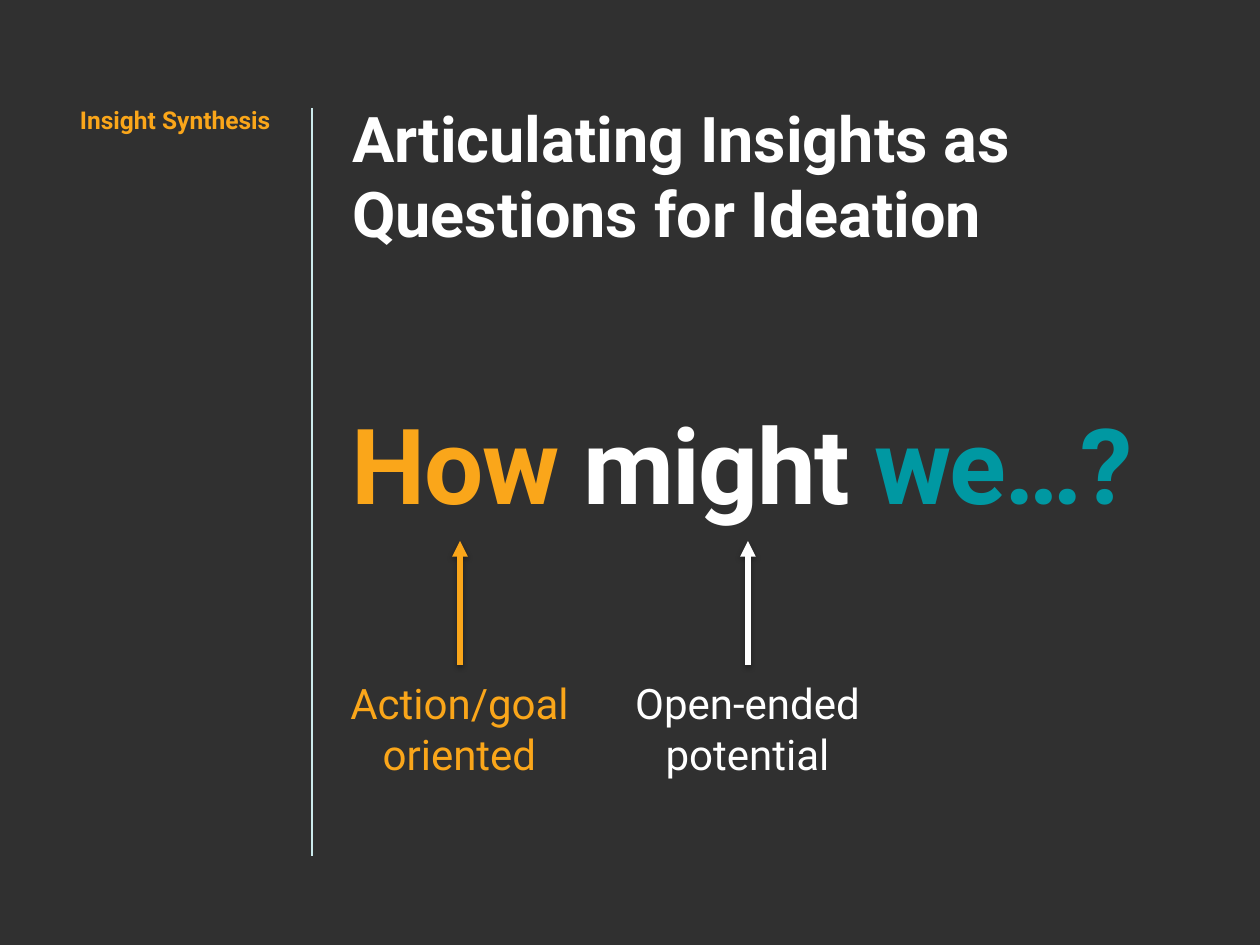
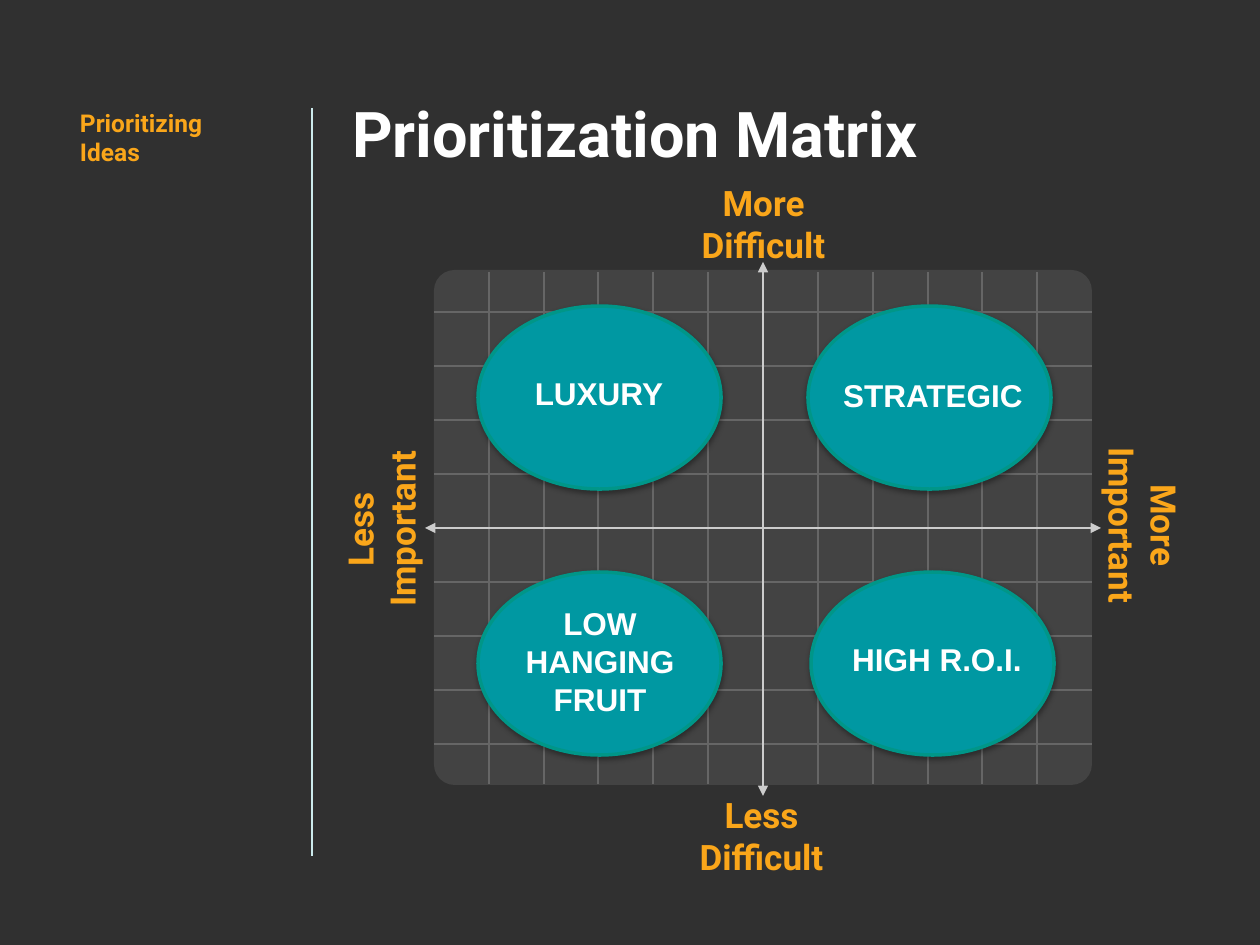
from pptx import Presentation
from pptx import util as u
from pptx.dml.color import RGBColor
from pptx.enum import shapes, text
from pptx.oxml import parse_xml
from pptx.oxml.ns import nsdecls, qn

COLORS = {
    "background": "303030", "white": "FFFFFF", "orange": "FAA61A", "teal": "0098A2",
    "teal_edge": "009688", "divider": "CCEAEC", "panel": "434343",
    "grid": "666666", "axis": "CCCCCC",
}
PX = u.Inches(1) / 126
SHADOW = (
    f'<a:effectLst {nsdecls("a")}><a:outerShdw blurRad="38100" dist="20320" dir="5400000" '
    'algn="ctr" rotWithShape="0"><a:srgbClr val="000000"><a:alpha val="36000"/>'
    "</a:srgbClr></a:outerShdw></a:effectLst>"
)
NO_SHADOW = f'<a:effectLst {nsdecls("a")}/>'


def add_text(page, content, frame, box=None, size=20, color="orange", bold=True, font="Roboto",
             align="LEFT", inset=13, rotation=0, leading=None, tracking=None):
    """Write a string, or a list of (words, color) spans, into a new or given box."""
    left, top, width, height = [round(n * PX) for n in frame]
    box = box or page.shapes.add_textbox(left, top, width, height)
    box.left, box.top, box.width, box.height = left, top, width, height
    box.rotation = rotation
    body = box.text_frame
    body.word_wrap = True
    body.auto_size = text.MSO_AUTO_SIZE.NONE
    body.vertical_anchor = text.MSO_ANCHOR.TOP
    body.margin_left = body.margin_right = round(inset * PX)
    body.margin_top = body.margin_bottom = round(inset * PX)
    para = body.paragraphs[0]
    para.alignment = text.PP_ALIGN[align]
    if leading:
        para.line_spacing = u.Pt(leading)
    spans = [(content, color)] if isinstance(content, str) else content
    for words, span_color in spans:
        for number, line in enumerate(words.split("\n")):
            if number:
                para.add_line_break()
            span = para.add_run()
            span.text = line
            span.font.name, span.font.size, span.font.bold = font, u.Pt(size), bold
            span.font.color.rgb = RGBColor.from_string(COLORS[span_color])
            if tracking:
                span.font._element.set("spc", str(tracking * 100))


def add_line(page, start, end, color, width=0.75, heads=(), effect=NO_SHADOW):
    """Draw a straight line; heads names the ends that carry a triangle."""
    points = [round(n * PX) for n in (*start, *end)]
    line = page.shapes.add_connector(shapes.MSO_CONNECTOR.STRAIGHT, *points)
    line.line.color.rgb = RGBColor.from_string(COLORS[color])
    line.line.width = u.Pt(width)
    outline = line.line._get_or_add_ln()
    for end_name in heads:
        outline.append(outline.makeelement(qn(f"a:{end_name}"), {"type": "triangle"}))
    line._element.spPr.append(parse_xml(effect))


deck = Presentation()
deck.slide_width, deck.slide_height = u.Inches(10), u.Inches(7.5)
backdrop = deck.slide_master.background.fill
backdrop.solid()
backdrop.fore_color.rgb = RGBColor.from_string(COLORS["background"])

# Shared frame: title, section label and divider
pages = []
for title, title_top, section, section_top in [
    ("Articulating Insights as Questions for Ideation", 86, "Insight Synthesis", 92),
    ("Prioritization Matrix", 82, "Prioritizing\nIdeas", 95),
]:
    page = deck.slides.add_slide(deck.slide_layouts[5])
    add_text(page, title, (339, title_top, 874, 180), box=page.shapes.title,
             size=36, color="white")
    add_text(page, section, (67, section_top, 226, 84), size=14)
    add_line(page, (312, 108), (312, 856), "divider")
    pages.append(page)
question_page, matrix_page = pages

# Question with its explained words
add_text(question_page, [("How ", "orange"), ("might ", "white"), ("we…?", "teal")],
         (339, 404, 892, 136), size=60, leading=62, tracking=-1)
for note, center, color in [("Action/goal oriented", 460, "orange"),
                            ("Open-ended potential", 748, "white")]:
    add_text(question_page, note, (center - 136, 665, 271, 127),
             size=24, color=color, bold=False, align="CENTER")
    add_line(question_page, (center, 665), (center, 541), color, width=3,
             heads=["tailEnd"], effect=SHADOW)

# Matrix panel and grid
LEFT, TOP, WIDTH, HEIGHT = 434, 270, 658, 515
CENTER_X, CENTER_Y = 763, 528
panel = matrix_page.shapes.add_shape(
    shapes.MSO_SHAPE.ROUNDED_RECTANGLE, *[round(n * PX) for n in (LEFT, TOP, WIDTH, HEIGHT)])
panel.adjustments[0] = 0.04
panel.shadow.inherit = False
panel.fill.solid()
panel.fill.fore_color.rgb = RGBColor.from_string(COLORS["panel"])
panel.line.fill.background()
for column in range(1, 12):
    if column != 6:
        x = LEFT + round(WIDTH * column / 12)
        add_line(matrix_page, (x, TOP + 2), (x, TOP + HEIGHT - 1), "grid")
for row in range(-4, 5):
    if row:
        y = CENTER_Y + 54 * row
        add_line(matrix_page, (LEFT, y), (LEFT + WIDTH, y), "grid")

# Axes and their labels
both_ends = ["headEnd", "tailEnd"]
add_line(matrix_page, (425, CENTER_Y), (1101, CENTER_Y), "axis", heads=both_ends)
add_line(matrix_page, (CENTER_X, 262), (CENTER_X, 796), "axis", heads=both_ends)
for label, left, top, rotation in [
    ("More Difficult", 667, 169, 0), ("Less Difficult", 665, 781, 0),
    ("More Important", 1053, 476, 90), ("Less Important", 278, 480, 270),
]:
    add_text(matrix_page, label, (left, top, 193, 98), align="CENTER", rotation=rotation)

# Quadrants
for name, left, top, text_left, text_top, text_height in [
    ("STRATEGIC", 808, 306, 834, 370, 50), ("HIGH R.O.I.", 811, 572, 838, 634, 50),
    ("LOW HANGING FRUIT", 478, 572, 501, 598, 127), ("LUXURY", 478, 306, 500, 368, 50),
]:
    oval = matrix_page.shapes.add_shape(
        shapes.MSO_SHAPE.OVAL, *[round(n * PX) for n in (left, top, 243, 183)])
    oval.fill.solid()
    oval.fill.fore_color.rgb = RGBColor.from_string(COLORS["teal"])
    oval.line.color.rgb = RGBColor.from_string(COLORS["teal_edge"])
    oval.line.width = u.Pt(2)
    oval._element.spPr.append(parse_xml(SHADOW))
    add_text(matrix_page, name, (text_left, text_top, 198, text_height), size=18,
             color="white", font="Arial", align="CENTER", inset=6)

deck.save("out.pptx")
